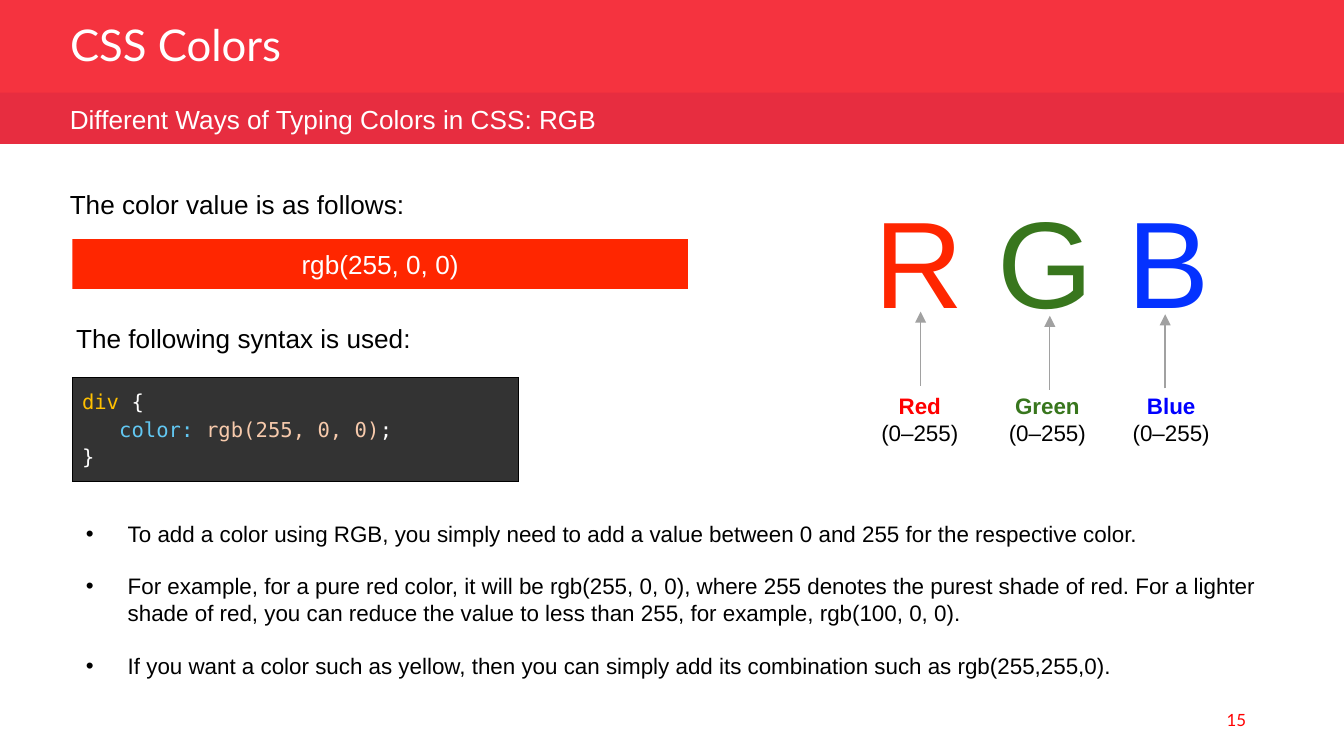
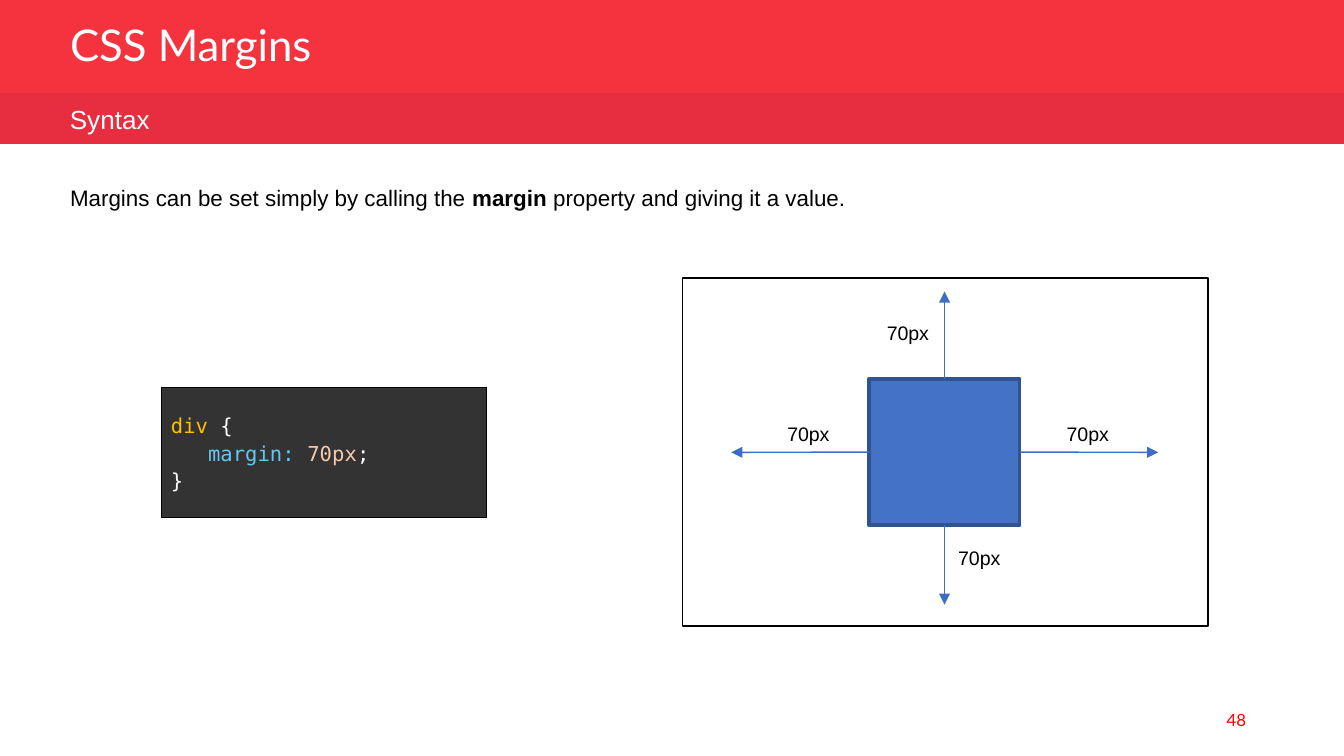
from dataclasses import dataclass
from typing import NamedTuple

from lxml import etree
from pptx import Presentation
from pptx import util as u
from pptx.dml import color as dml
from pptx.enum import shapes, text
from pptx.oxml import ns

# Shared colours, fonts and sizes
BAND, SUBBAND = "F5333F", "E72D40"
BLACK, WHITE, RED = "000000", "FFFFFF", "FF0000"
CODE_BACK, CODE_TAG, CODE_KEY, CODE_VALUE = "333333", "FFC000", "62C8F3", "F7CAAC"
PURE_RED, GREEN = "FF2600", "38761D"
SQUARE_FILL, SQUARE_EDGE, MARGIN_ARROW, GREY = "4472C4", "31538F", "3E6EC2", "A1A1A1"
SANS, TITLE_FONT, MONO = "Arial", "Lato", "DejaVu Sans Mono"
PAGE_WIDTH, PAGE_HEIGHT = 25.4, 14.29
TEXT_LEFT = 1.07
INDENT = 0.79

LEFT, CENTER, RIGHT = text.PP_ALIGN.LEFT, text.PP_ALIGN.CENTER, text.PP_ALIGN.RIGHT
TOP, MIDDLE = text.MSO_ANCHOR.TOP, text.MSO_ANCHOR.MIDDLE


class Area(NamedTuple):
    left: float
    top: float
    width: float
    height: float

    def lengths(self) -> list:
        return [u.Cm(value) for value in self]


class Span(NamedTuple):
    text: str
    color: str = BLACK
    bold: bool = False


@dataclass
class Style:
    size: float = 14
    font: str = SANS
    align: text.PP_ALIGN = LEFT
    anchor: text.MSO_ANCHOR = TOP
    spacing: float = 1.0
    space_after: float = 0
    bullet: bool = False


@dataclass
class Channel:
    """One colour channel: its name, label and arrow places."""
    name: str
    color: str
    label_left: float
    arrow_x: float
    arrow_bottom: float


@dataclass
class MarginSide:
    """One margin arrow: side of the square, tip and label corner."""
    site: int
    tip: tuple[float, float]
    label: tuple[float, float]


CHANNELS = [
    Channel("Red", RED, 16.28, 17.4, 7.29),
    Channel("Green", GREEN, 18.69, 19.84, 7.37),
    Channel("Blue", "0000FF", 21.03, 22.02, 7.34),
]

MARGIN_SIDES = [
    MarginSide(0, (17.85, 5.51), (16.51, 5.94)),
    MarginSide(1, (13.82, 8.55), (14.63, 7.85)),
    MarginSide(2, (17.85, 11.43), (17.86, 10.19)),
    MarginSide(3, (21.89, 8.55), (19.91, 7.85)),
]


# Formatting helpers
def rgb(value: str) -> dml.RGBColor:
    return dml.RGBColor.from_string(value)


def apply(target, **values) -> None:
    for name, value in values.items():
        setattr(target, name, value)


def place(item, area: Area) -> None:
    apply(item, **dict(zip(area._fields, area.lengths())))


def set_bullet(para, bullet: bool) -> None:
    props = para._p.get_or_add_pPr()
    margin = u.Cm(INDENT) if bullet else 0
    props.set("marL", str(margin))
    props.set("indent", str(-margin))
    if bullet:
        bullet_color = etree.SubElement(props, ns.qn("a:buClr"))
        etree.SubElement(bullet_color, ns.qn("a:srgbClr"), val=BLACK)
        etree.SubElement(props, ns.qn("a:buFont"), typeface=SANS)
        etree.SubElement(props, ns.qn("a:buChar"), char="•")
    else:
        etree.SubElement(props, ns.qn("a:buNone"))


def write(frame, lines: list[list[Span]], style: Style) -> None:
    apply(frame, word_wrap=True)
    for index, line in enumerate(lines):
        para = frame.add_paragraph() if index else frame.paragraphs[0]
        set_bullet(para, style.bullet)
        apply(para, alignment=style.align, line_spacing=style.spacing,
              space_before=u.Pt(0), space_after=u.Pt(style.space_after))
        for span in line:
            run = para.add_run()
            run.text = span.text
            apply(run.font, size=u.Pt(style.size), name=style.font, bold=span.bold)
            run.font.color.rgb = rgb(span.color)


# Drawing helpers
def fill_placeholder(holder, area: Area, lines: list[list[Span]], style: Style) -> None:
    place(holder, area)
    apply(holder.text_frame, auto_size=text.MSO_AUTO_SIZE.NONE,
          vertical_anchor=style.anchor)
    write(holder.text_frame, lines, style)


def add_text(page, area: Area, lines: list[list[Span]], style: Style) -> None:
    box = page.shapes.add_textbox(*area.lengths())
    box.text_frame.vertical_anchor = style.anchor
    write(box.text_frame, lines, style)


def add_rect(page, area: Area, fill: str = "", edge: str = "", edge_width: float = 1):
    rect = page.shapes.add_shape(shapes.MSO_SHAPE.RECTANGLE, *area.lengths())
    rect.shadow.inherit = False
    if fill:
        rect.fill.solid()
        rect.fill.fore_color.rgb = rgb(fill)
    else:
        rect.fill.background()
    if edge:
        rect.line.color.rgb = rgb(edge)
        rect.line.width = u.Pt(edge_width)
    else:
        rect.line.fill.background()
    return rect


def add_arrow(page, start: tuple, end: tuple, color: str):
    arrow = page.shapes.add_connector(
        shapes.MSO_CONNECTOR.STRAIGHT, *[u.Cm(value) for value in (*start, *end)])
    arrow.line.color.rgb = rgb(color)
    arrow.line.width = u.Pt(0.75)
    etree.SubElement(arrow.line._get_or_add_ln(), ns.qn("a:tailEnd"), type="triangle")
    etree.SubElement(arrow._element.spPr, ns.qn("a:effectLst"))
    return arrow


def add_code(page, area: Area, key: str, value: str, anchor: text.MSO_ANCHOR) -> None:
    """A one-cell table with a CSS rule for div."""
    table = page.shapes.add_table(1, 1, *area.lengths()).table
    apply(table, first_row=False, horz_banding=False)
    cell = table.cell(0, 0)
    margin = u.Cm(0.18)
    apply(cell, margin_left=margin, margin_right=margin, margin_top=margin,
          margin_bottom=margin, vertical_anchor=anchor)
    props = cell._tc.get_or_add_tcPr()
    for side in ("lnL", "lnR", "lnT", "lnB"):
        border = etree.SubElement(props, ns.qn(f"a:{side}"), w=str(u.Pt(0.75)))
        paint = etree.SubElement(border, ns.qn("a:solidFill"))
        etree.SubElement(paint, ns.qn("a:srgbClr"), val=BLACK)
    cell.fill.solid()
    cell.fill.fore_color.rgb = rgb(CODE_BACK)
    rule = [
        [Span("div", CODE_TAG), Span(" ", CODE_KEY), Span("{", WHITE)],
        [Span(f"   {key}: ", CODE_KEY), Span(value, CODE_VALUE), Span(";", WHITE)],
        [Span("}", WHITE)],
    ]
    write(cell.text_frame, rule, Style(size=11, font=MONO, spacing=1.15))


# Shared page parts
def add_master_band(deck, page) -> None:
    band = add_rect(page, Area(0, 0, PAGE_WIDTH, 1.78), BAND)
    deck.slide_master.shapes.element.insert(2, band._element)


def add_page(deck, title: str, subtitle: str, number: str):
    page = deck.slides.add_slide(deck.slide_layouts[1])
    fill_placeholder(page.shapes.title, Area(TEXT_LEFT, 0.36, 11.91, 1.12),
                     [[Span(title, WHITE)]],
                     Style(size=23.4, font=TITLE_FONT, anchor=MIDDLE, spacing=0.8))
    add_rect(page, Area(0, 1.75, PAGE_WIDTH, 0.97), SUBBAND)
    add_text(page, Area(TEXT_LEFT, 1.83, 12.93, 0.86), [[Span(subtitle, WHITE)]], Style())
    add_text(page, Area(18.08, 13.23, 5.72, 0.76), [[Span(number, RED)]],
             Style(size=9, font=TITLE_FONT, align=RIGHT, anchor=MIDDLE))
    return page


# Slides
def build_colors(deck):
    page = add_page(deck, "CSS Colors", "Different Ways of Typing Colors in CSS: RGB", "15")
    notes = [
        "To add a color using RGB, you simply need to add a value between 0 and 255 "
        "for the respective color.",
        "For example, for a pure red color, it will be rgb(255, 0, 0), where 255 denotes "
        "the purest shade of red. For a lighter shade of red, you can reduce the value "
        "to less than 255, for example, rgb(100, 0, 0).",
        "If you want a color such as yellow, then you can simply add its combination "
        "such as rgb(255,255,0).",
    ]
    fill_placeholder(page.placeholders[1], Area(1.37, 9.7, 23.7, 3.84),
                     [[Span(note)] for note in notes],
                     Style(size=12, space_after=13.8, bullet=True))

    # Value and syntax
    add_text(page, Area(TEXT_LEFT, 3.43, 7.82, 0.86),
             [[Span("The color value is as follows:")]], Style())
    value = "rgb(255, 0, 0)"
    swatch = add_rect(page, Area(1.37, 4.52, 11.63, 0.94), PURE_RED)
    swatch.text_frame.vertical_anchor = MIDDLE
    write(swatch.text_frame, [[Span(value, WHITE)]], Style(align=CENTER))
    add_text(page, Area(1.19, 5.97, 9.19, 0.86),
             [[Span("The following syntax is used:")]], Style())
    add_code(page, Area(1.37, 7.14, 8.43, 1.93), "color", value, TOP)

    # Colour channels
    letters = [Span("R ", PURE_RED), Span("G ", GREEN), Span("B", "0432FF")]
    add_text(page, Area(16.28, 3.38, 6.91, 3.07), [letters], Style(size=66))
    for channel in CHANNELS:
        add_text(page, Area(channel.label_left, 7.29, 2.21, 1.27),
                 [[Span(channel.name, channel.color, True)], [Span("(0–255)")]],
                 Style(size=12, align=CENTER))
        add_arrow(page, (channel.arrow_x, channel.arrow_bottom),
                  (channel.arrow_x, channel.arrow_bottom - 1.4), GREY)
    return page


def build_margins(deck) -> None:
    page = add_page(deck, "CSS Margins", "Syntax", "48")
    intro = [Span("Margins can be set simply by calling the "), Span("margin ", bold=True),
             Span("property and giving it a value.")]
    fill_placeholder(page.placeholders[1], Area(TEXT_LEFT, 3.35, 21.18, 0.76),
                     [intro], Style(size=12))
    value = "70px"
    add_code(page, Area(3.05, 7.32, 6.15, 2.46), "margin", value, MIDDLE)

    # Square with its four margins
    add_rect(page, Area(12.9, 5.26, 9.93, 6.58), edge=BLACK)
    square = add_rect(page, Area(16.43, 7.16, 2.84, 2.77), SQUARE_FILL, SQUARE_EDGE, 2)
    for side in MARGIN_SIDES:
        arrow = add_arrow(page, side.tip, side.tip, MARGIN_ARROW)
        arrow.begin_connect(square, side.site)
        add_text(page, Area(*side.label, 1.35, 0.71), [[Span(value)]], Style(size=10.5))


def main() -> None:
    deck = Presentation()
    apply(deck, slide_width=u.Cm(PAGE_WIDTH), slide_height=u.Cm(PAGE_HEIGHT))
    add_master_band(deck, build_colors(deck))
    build_margins(deck)
    deck.save("out.pptx")


if __name__ == "__main__":
    main()
